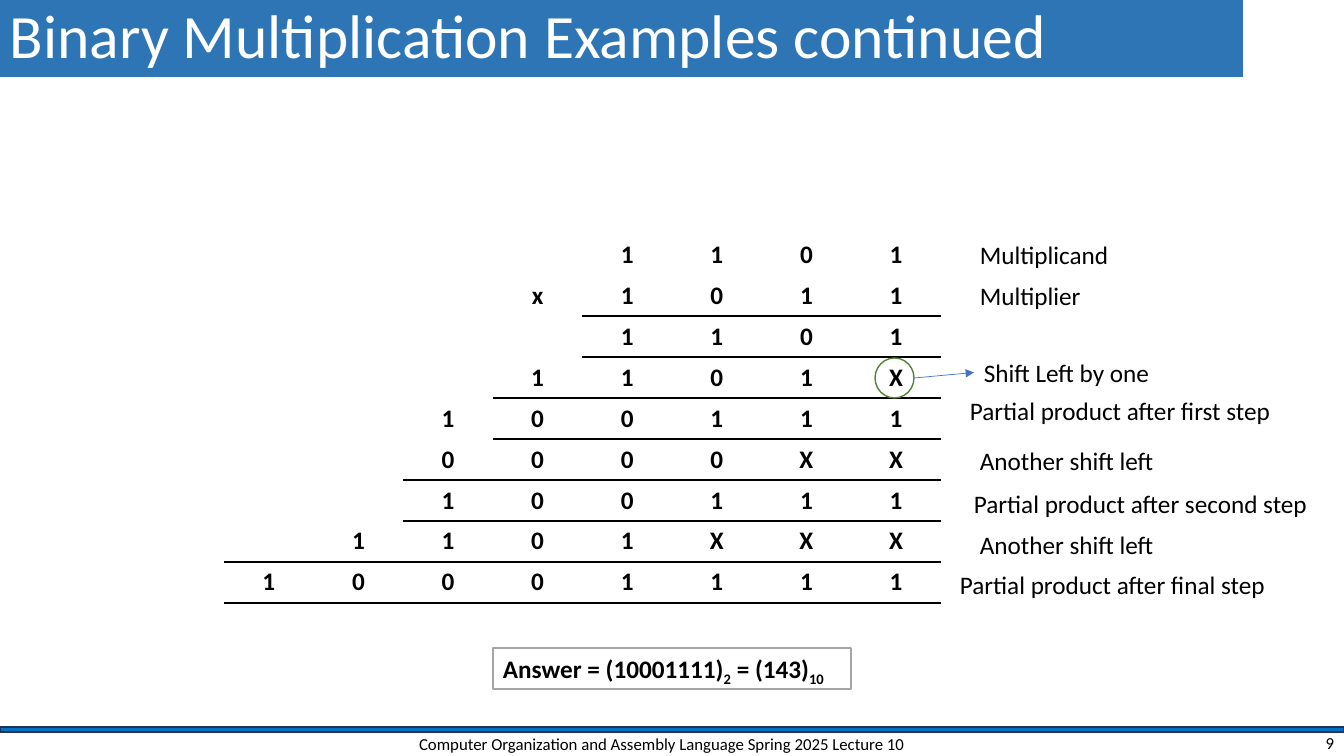
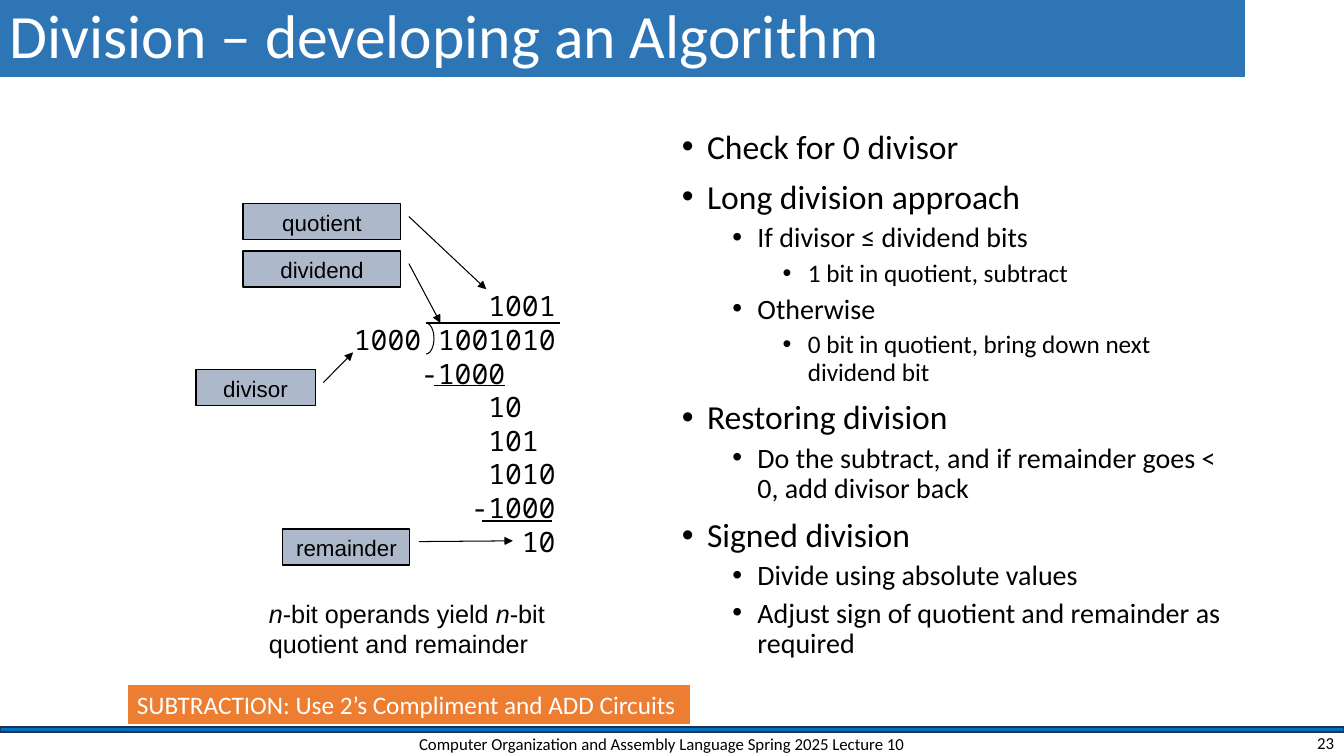
from dataclasses import dataclass
from typing import NamedTuple

from lxml.etree import SubElement
from pptx import Presentation
from pptx.dml.color import RGBColor
from pptx.enum.shapes import MSO_CONNECTOR, MSO_SHAPE
from pptx.enum.text import MSO_ANCHOR, PP_ALIGN
from pptx.oxml.ns import qn
from pptx.util import Pt

EMU_PER_PX = 12192000 / 1344
PLAIN_TABLE = "{2D5ABB26-0587-4C30-8999-92F81FD0307C}"


@dataclass(frozen=True)
class Theme:
    title_band: str = "2E75B6"
    footer_bar: str = "0070C0"
    footer_edge: str = "1E3256"
    ink: str = "000000"
    paper: str = "FFFFFF"
    answer_edge: str = "A5A5A5"
    ring: str = "548235"
    pointer: str = "4472C4"
    callout: str = "ADB9CA"
    banner: str = "ED7D31"
    font: str = "Calibri"
    diagram_font: str = "Arial"
    digit_font: str = "Noto Sans Mono"
    title_size: int = 44
    text_size: int = 18
    digit_size: int = 20
    digit_pitch: int = 24
    callout_size: int = 16
    footer_size: int = 12
    level_sizes: tuple = (24, 20, 18)


THEME = Theme()


def px(length):
    return round(length * EMU_PER_PX)


class Box(NamedTuple):
    x: int
    y: int
    w: int
    h: int

    def inner(self, dx, dy, w, h):
        return Box(self.x + dx, self.y + dy, w, h)

    def emu(self):
        return [px(length) for length in self]


# Text and shape helpers
def add_run(paragraph, text, size=THEME.text_size, font=THEME.font,
            color=THEME.ink, bold=False, italic=False, baseline=None):
    run = paragraph.add_run()
    run.text = text
    run.font.size = Pt(size)
    run.font.name = font
    run.font.bold = bold
    run.font.italic = italic
    run.font.color.rgb = RGBColor.from_string(color)
    if baseline:
        run.font._element.set("baseline", str(baseline * 1000))


def write(shape, text, align=PP_ALIGN.LEFT, anchor=MSO_ANCHOR.TOP, **style):
    """Prepare the frame, add the text as one run and return its paragraph."""
    frame = shape.text_frame
    frame.word_wrap = True
    frame.vertical_anchor = anchor
    paragraph = frame.paragraphs[0]
    paragraph.alignment = align
    add_run(paragraph, text, **style)
    return paragraph


def add_text(slide, box, text, **style):
    label = slide.shapes.add_textbox(*box.emu())
    return label, write(label, text, **style)


def add_figure(slide, preset, box, fill=None, line=None, width=1):
    figure = slide.shapes.add_shape(preset, *box.emu())
    figure.shadow.inherit = False
    if fill:
        figure.fill.solid()
        figure.fill.fore_color.rgb = RGBColor.from_string(fill)
    else:
        figure.fill.background()
    if line:
        figure.line.color.rgb = RGBColor.from_string(line)
        figure.line.width = Pt(width)
    else:
        figure.line.fill.background()
    return figure


def add_arrowhead(line):
    SubElement(line.line._get_or_add_ln(), qn("a:tailEnd"), type="triangle")


def add_line(slide, x1, y1, x2, y2, color=THEME.ink, width=0.75):
    line = slide.shapes.add_connector(
        MSO_CONNECTOR.STRAIGHT, px(x1), px(y1), px(x2), px(y2))
    line.line.color.rgb = RGBColor.from_string(color)
    line.line.width = Pt(width)
    SubElement(line._element.spPr, qn("a:effectLst"))
    return line


# Title band, footer bar, course line and page number
def add_frame(slide, page, title, number, band_width):
    bar = page.inner(0, 727, page.w, 5)
    add_figure(slide, MSO_SHAPE.RECTANGLE, bar, THEME.footer_bar, THEME.footer_edge)
    band = add_figure(slide, MSO_SHAPE.RECTANGLE, page.inner(0, 0, band_width, 77),
                      THEME.title_band)
    heading = write(band, title, anchor=MSO_ANCHOR.MIDDLE,
                    size=THEME.title_size, color=THEME.paper)
    heading.line_spacing = 0.9
    add_text(slide, page.inner(395, 730, 534, 28),
             "Computer Organization and Assembly Language Spring 2025 Lecture 10",
             align=PP_ALIGN.CENTER, anchor=MSO_ANCHOR.MIDDLE, size=THEME.footer_size)
    add_text(slide, page.inner(1041, 730, 303, 25), str(number),
             align=PP_ALIGN.RIGHT, anchor=MSO_ANCHOR.MIDDLE, size=THEME.footer_size)


# Multiplication grid: each row is right-aligned, some are underlined
PRODUCT_ROWS = ("1101", "x1011", "1101", "1101X", "100111",
                "0000XX", "100111", "1101XXX", "10001111")
RULE_STARTS = {1: 4, 3: 3, 5: 2, 7: 0, 8: 0}  # row: first underlined column
COLUMNS = 8


def add_cell_rule(cell, side):
    properties = cell._tc.get_or_add_tcPr()
    rule = SubElement(properties, qn(f"a:{side}"), w=str(Pt(1)))
    fill = SubElement(rule, qn("a:solidFill"))
    SubElement(fill, qn("a:srgbClr"), val=THEME.ink)


def add_product_grid(slide, box):
    frame = slide.shapes.add_table(len(PRODUCT_ROWS), COLUMNS, *box.emu())
    grid = frame.table
    grid.first_row = grid.horz_banding = False
    grid._tbl.tblPr.find(qn("a:tableStyleId")).text = PLAIN_TABLE
    for column in grid.columns:
        column.width = px(box.w) // COLUMNS
    for r, digits in enumerate(PRODUCT_ROWS):
        grid.rows[r].height = px(box.h) // len(PRODUCT_ROWS)
        for c in range(COLUMNS):
            cell = grid.cell(r, c)
            if c >= RULE_STARTS.get(r - 1, COLUMNS):
                add_cell_rule(cell, "lnT")
            if c >= RULE_STARTS.get(r, COLUMNS):
                add_cell_rule(cell, "lnB")
            cell.fill.background()
            digit = c - COLUMNS + len(digits)
            if digit >= 0:
                paragraph = cell.text_frame.paragraphs[0]
                paragraph.alignment = PP_ALIGN.CENTER
                add_run(paragraph, digits[digit], bold=True)


STEP_NOTES = (
    ("Multiplicand", 746, 0, 150),
    ("Multiplier", 746, 41, 122),
    ("Shift Left by one", 750, 118, 190),
    ("Partial product after first step", 736, 156, 326),
    ("Another shift left", 746, 206, 197),
    ("Partial product after second step", 740, 249, 358),
    ("Another shift left", 746, 290, 197),
    ("Partial product after final step", 726, 330, 330),
)


def add_multiplication(slide, box):
    add_product_grid(slide, box)
    notes = [add_text(slide, box.inner(dx, dy, w, 41), text)[0]
             for text, dx, dy, w in STEP_NOTES]

    # Ringed placeholder digit and its pointer
    ring = box.inner(651, 124, 39, 40)
    add_figure(slide, MSO_SHAPE.OVAL, ring, line=THEME.ring)
    pointer = add_line(slide, ring.x + ring.w, ring.y + ring.h // 2,
                       box.x + 750, box.y + 138, THEME.pointer, 0.5)
    pointer.end_connect(notes[2], 1)
    add_arrowhead(pointer)

    # Answer
    answer = add_figure(slide, MSO_SHAPE.RECTANGLE, box.inner(269, 414, 358, 41),
                        THEME.paper, THEME.answer_edge)
    line = write(answer, "Answer = (10001111)", bold=True)
    add_run(line, "2", bold=True, baseline=-25)
    add_run(line, " = (143)", bold=True)
    add_run(line, "10", bold=True, baseline=-25)


# Long division: indent in characters, digits
WORK_LINES = ((8, "1001"), (0, "1000 1001010"), (4, "-1000"), (8, "10"),
              (8, "101"), (8, "1010"), (7, "-1000"), (10, "10"))
DIGIT_WIDTH = Pt(THEME.digit_size * 0.6)
# Term, place and size, then the pointer's y and x at start and end
TERMS = (
    ("quotient", (47, 0, 158, 36), (0.35, 1.05, 2.37, 1.54)),
    ("dividend", (47, 47, 158, 36), (0.35, 1.05, 2, 1.25)),
    ("divisor", (0, 166, 119, 36), (0.35, 1.07, -0.49, 1.32)),
    ("remainder", (87, 325, 127, 36), (0.35, 1.07, 0.33, 1.81)),
)
WORK_RULES = ((230, 364, 119), (238, 309, 182), (286, 356, 317))


def add_long_division(slide, box):
    # Worked digits
    work = slide.shapes.add_textbox(*box.inner(148, 80, 226, 279).emu()).text_frame
    work.word_wrap = True
    for i, (indent, digits) in enumerate(WORK_LINES):
        line = work.add_paragraph() if i else work.paragraphs[0]
        line.line_spacing = Pt(THEME.digit_pitch)
        line._p.get_or_add_pPr().set("marL", str(indent * DIGIT_WIDTH))
        add_run(line, digits, THEME.digit_size, THEME.digit_font)

    # Division bracket and subtraction rules
    for left, right, y in WORK_RULES:
        add_line(slide, box.x + left, box.y + y, box.x + right, box.y + y)
    bracket = add_figure(slide, MSO_SHAPE.ARC, box.inner(222, 119, 16, 31),
                         line=THEME.ink, width=0.75)
    bracket.adjustments[0] = 162  # from the top
    bracket.adjustments[1] = 54   # to the bottom

    # Named terms with pointers
    for name, place, pointer in TERMS:
        term = add_figure(slide, MSO_SHAPE.LINE_CALLOUT_1, box.inner(*place),
                          THEME.callout, THEME.ink, 0.75)
        for i, value in enumerate(pointer):
            term.adjustments[i] = value
        add_arrowhead(term)
        write(term, name, align=PP_ALIGN.CENTER,
              size=THEME.callout_size, font=THEME.diagram_font)

    # Caption
    _, caption = add_text(slide, box.inner(63, 389, 300, 71), "n",
                          font=THEME.diagram_font, italic=True)
    add_run(caption, "-bit operands yield ", font=THEME.diagram_font)
    add_run(caption, "n", font=THEME.diagram_font, italic=True)
    add_run(caption, "-bit", font=THEME.diagram_font)
    caption.add_line_break()
    add_run(caption, "quotient and remainder", font=THEME.diagram_font)


# Algorithm outline: level, text
OUTLINE = (
    (0, "Check for 0 divisor"),
    (0, "Long division approach"),
    (1, "If divisor ≤ dividend bits"),
    (2, "1 bit in quotient, subtract"),
    (1, "Otherwise"),
    (2, "0 bit in quotient, bring down next dividend bit"),
    (0, "Restoring division"),
    (1, "Do the subtract, and if remainder goes < 0, add divisor back"),
    (0, "Signed division"),
    (1, "Divide using absolute values"),
    (1, "Adjust sign of quotient and remainder as required"),
)


def add_outline(slide, box):
    outline = slide.shapes.add_textbox(*box.emu()).text_frame
    outline.word_wrap = True
    for i, (level, text) in enumerate(OUTLINE):
        item = outline.add_paragraph() if i else outline.paragraphs[0]
        item.level = level
        item.line_spacing = 0.9
        item.space_before = Pt(5 if level else 10)
        properties = item._p.get_or_add_pPr()
        properties.set("marL", str(Pt(18 + 36 * level)))
        properties.set("indent", str(-Pt(18)))
        SubElement(properties, qn("a:buFont"), typeface=THEME.diagram_font)
        SubElement(properties, qn("a:buChar"), char="•")
        add_run(item, text, THEME.level_sizes[level])


def add_banner(slide, box):
    banner = add_figure(slide, MSO_SHAPE.RECTANGLE, box, THEME.banner, THEME.paper, 1.5)
    write(banner, "SUBTRACTION: Use 2’s Compliment and ADD Circuits", color=THEME.paper)


def main():
    deck = Presentation()
    page = Box(0, 0, 1344, 756)
    deck.slide_width, deck.slide_height = px(page.w), px(page.h)
    blank = deck.slide_layouts[6]

    multiplication = deck.slides.add_slide(blank)
    add_frame(multiplication, page, "Binary Multiplication Examples continued", 9, 1243)
    add_multiplication(multiplication, page.inner(224, 234, 717, 369))

    division = deck.slides.add_slide(blank)
    add_frame(division, page, "Division – developing an Algorithm", 23, 1245)
    add_outline(division, page.inner(672, 125, 574, 563))
    add_long_division(division, page.inner(196, 204, 378, 460))
    add_banner(division, page.inner(127, 684, 564, 41))

    deck.save("out.pptx")


if __name__ == "__main__":
    main()
